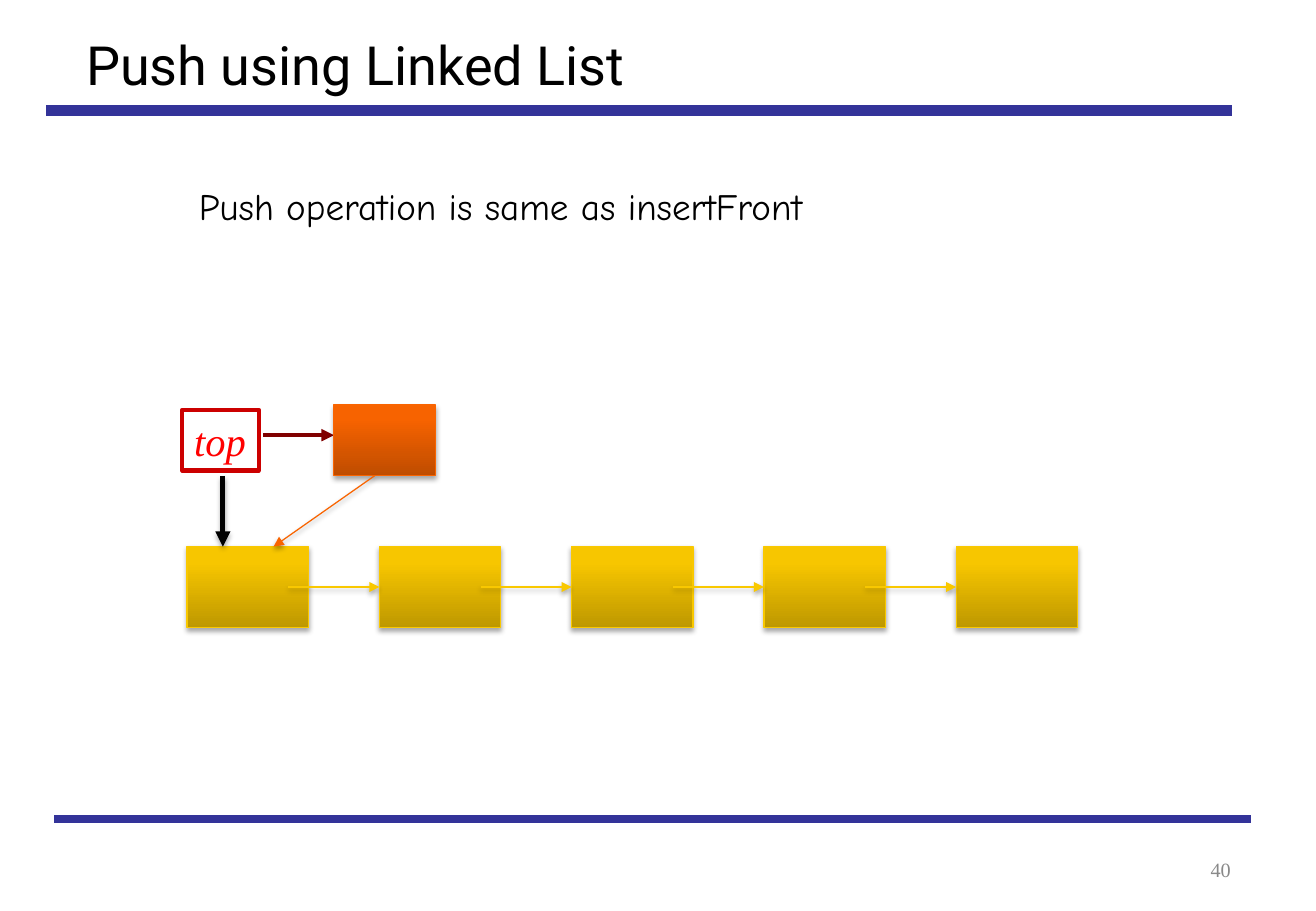
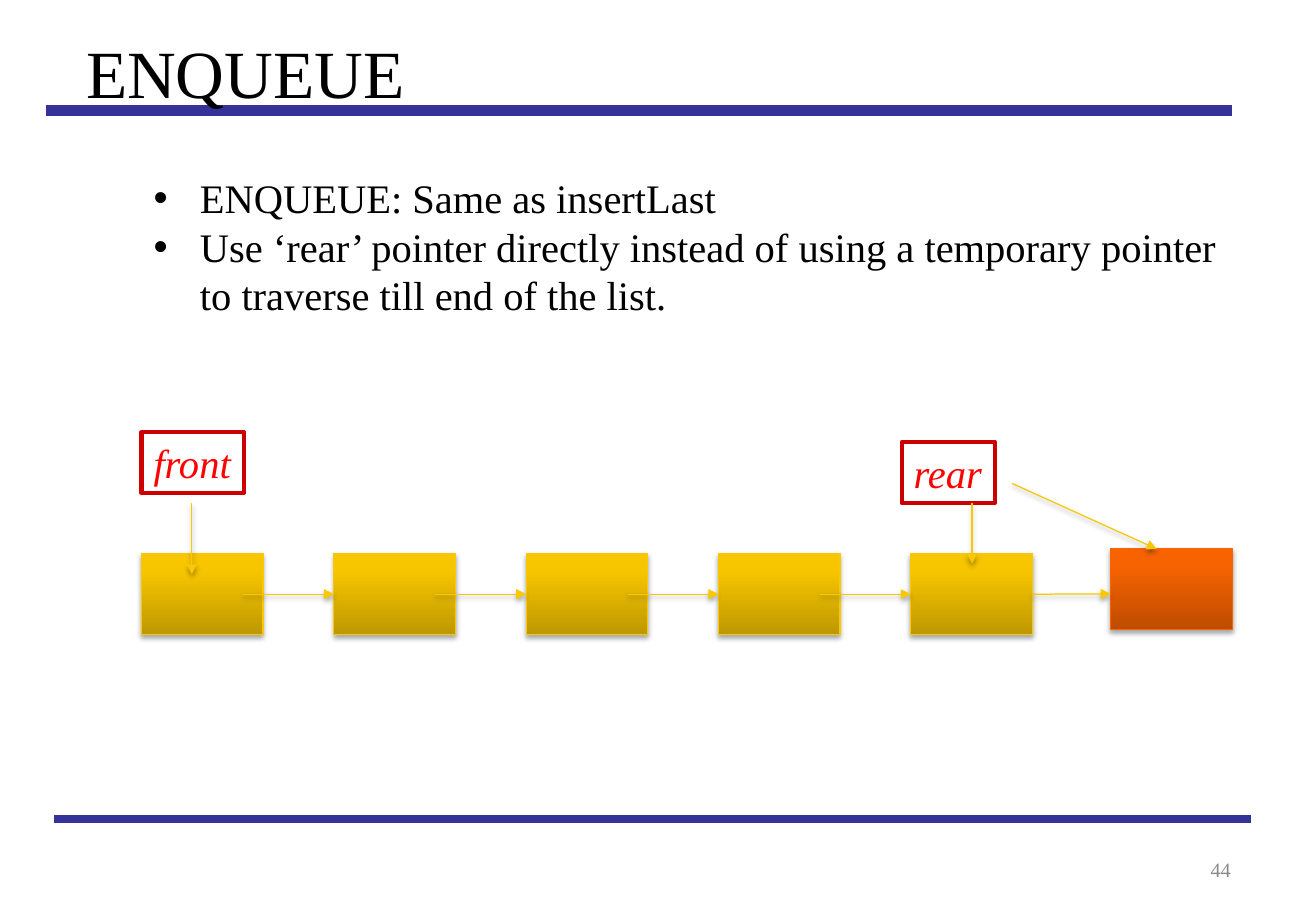
from dataclasses import dataclass

from lxml.etree import SubElement
from pptx import Presentation
from pptx.dml.color import RGBColor
from pptx.enum.shapes import MSO_CONNECTOR as CONN, MSO_SHAPE as SHAPE
from pptx.enum.text import MSO_ANCHOR as ANCHOR, MSO_AUTO_SIZE as FIT, PP_ALIGN as ALIGN
from pptx.oxml.ns import qn
from pptx.util import Cm, Pt

COLORS = {
    "rule": "333399", "number": "898989", "text": "000000",
    "label": "FF0000", "label_border": "CC0000",
    "yellow": "F9C800", "orange": "F96400", "maroon": "800000",
}
GRADIENTS = {
    "yellow": ((0, "BE9800"), (80, "F7C600"), (100, "F8C700")),
    "orange": ((0, "BE4C00"), (80, "F76300"), (100, "F86300")),
}
SERIF = "Times New Roman"
NODE_W, NODE_H, NODE_STEP, LINK_START = 2.54, 1.69, 4.02, 2.12
NODE_COUNT = 5
INDENT = 0.97


@dataclass(frozen=True)
class Box:
    x: float
    y: float
    w: float
    h: float


@dataclass(frozen=True)
class Style:
    size: float
    color: str = "text"
    font: str = SERIF
    italic: bool = False


@dataclass(frozen=True)
class Line:
    x1: float
    y1: float
    x2: float
    y2: float
    color: str = "yellow"
    width: float = 0.75
    arrow: bool = True
    shadow: bool = True


@dataclass(frozen=True)
class Label:
    text: str
    box: Box


RULES = (
    Line(0.97, 2.31, 25.76, 2.31, "rule", 6, False, False),
    Line(1.14, 17.12, 26.16, 17.12, "rule", 4.5, False, False),
)
TITLE_BOX = Box(1.55, 0.53, 24.21, 3.18)
NUMBER_BOX = Box(20.24, 17.3, 5.74, 1.27)
LABEL_STYLE = Style(24, "label", italic=True)


def rgb(name: str) -> RGBColor:
    return RGBColor.from_string(COLORS[name])


def emu(box: Box) -> tuple:
    return Cm(box.x), Cm(box.y), Cm(box.w), Cm(box.h)


def set_effects(sp, shadow: bool) -> None:
    effects = SubElement(sp._element.spPr, qn("a:effectLst"))
    if shadow:
        outer = SubElement(effects, qn("a:outerShdw"), blurRad=str(Pt(3.1)),
                           dist=str(Pt(1.8)), dir="5400000", rotWithShape="0")
        color = SubElement(outer, qn("a:srgbClr"), val=COLORS["text"])
        SubElement(color, qn("a:alpha"), val="35000")


def add_run(p, text: str, style: Style) -> None:
    r = p.add_run()
    r.text = text
    r.font.size = Pt(style.size)
    r.font.name = style.font
    r.font.italic = style.italic
    r.font.color.rgb = rgb(style.color)


def add_text(s, box: Box, lines: list, style: Style, hanging: bool = False,
             bullet: bool = False):
    tf = s.shapes.add_textbox(*emu(box)).text_frame
    tf.word_wrap = True
    for i, text in enumerate(lines):
        p = tf.paragraphs[0] if i == 0 else tf.add_paragraph()
        if hanging:
            pPr = p._p.get_or_add_pPr()
            pPr.set("marL", str(Cm(INDENT)))
            pPr.set("indent", str(-Cm(INDENT)))
            if bullet:
                SubElement(pPr, qn("a:buFont"), typeface="Arial")
                SubElement(pPr, qn("a:buChar"), char="•")
        add_run(p, text, style)
    return tf


def add_line(s, line: Line):
    c = s.shapes.add_connector(CONN.STRAIGHT, Cm(line.x1), Cm(line.y1),
                               Cm(line.x2), Cm(line.y2))
    c.line.color.rgb = rgb(line.color)
    c.line.width = Pt(line.width)
    if line.arrow:
        SubElement(c._element.spPr.find(qn("a:ln")), qn("a:tailEnd"), type="triangle")
    set_effects(c, line.shadow)
    return c


def add_node(s, box: Box, color: str = "yellow"):
    sp = s.shapes.add_shape(SHAPE.RECTANGLE, *emu(box))
    sp.fill.gradient()
    sp.fill.gradient_angle = 90
    stops = sp._element.spPr.find(qn("a:gradFill")).find(qn("a:gsLst"))
    for stop in list(stops):
        stops.remove(stop)
    for pos, value in GRADIENTS[color]:
        stop = SubElement(stops, qn("a:gs"), pos=str(pos * 1000))
        SubElement(stop, qn("a:srgbClr"), val=value)
    sp.line.color.rgb = rgb(color)
    sp.line.width = Pt(0.75)
    set_effects(sp, True)
    return sp


def add_chain(s, x: float, y: float) -> list:
    nodes = [add_node(s, Box(x + i * NODE_STEP, y, NODE_W, NODE_H))
             for i in range(NODE_COUNT)]
    mid = y + NODE_H / 2
    for i, target in enumerate(nodes[1:]):
        left = x + i * NODE_STEP
        link = add_line(s, Line(left + LINK_START, mid, left + NODE_STEP, mid))
        link.end_connect(target, 1)
    return nodes


def add_label(s, label: Label) -> None:
    sp = s.shapes.add_shape(SHAPE.RECTANGLE, *emu(label.box))
    sp.shadow.inherit = False
    sp.fill.background()
    sp.line.color.rgb = rgb("label_border")
    sp.line.width = Pt(2.5)
    tf = sp.text_frame
    tf.word_wrap = False
    tf.auto_size = FIT.SHAPE_TO_FIT_TEXT
    tf.vertical_anchor = ANCHOR.TOP
    p = tf.paragraphs[0]
    p.alignment = ALIGN.LEFT
    add_run(p, label.text, LABEL_STYLE)


def new_slide(prs, title: str, title_style: Style, number: int):
    s = prs.slides.add_slide(prs.slide_layouts[6])
    for rule in RULES:
        add_line(s, rule)
    tf = add_text(s, NUMBER_BOX, [str(number)], Style(12, "number"))
    tf.vertical_anchor = ANCHOR.BOTTOM
    tf.paragraphs[0].alignment = ALIGN.RIGHT
    add_text(s, TITLE_BOX, [title], title_style)
    return s


def push_slide(prs) -> None:
    s = new_slide(prs, "Push using Linked List", Style(32, font="Roboto"), 40)
    add_text(s, Box(3.91, 3.71, 16.08, 1.2), ["Push operation is same as insertFront"],
             Style(22, font="Comic Neue"), hanging=True)
    add_chain(s, 3.91, 11.43)
    add_label(s, Label("top", Box(3.81, 8.57, 1.6, 1.27)))
    add_line(s, Line(4.66, 9.95, 4.66, 11.43, "text", 3))
    add_line(s, Line(5.5, 9.1, 6.98, 9.1, "maroon", 2.5, shadow=False))
    add_node(s, Box(6.98, 8.47, 2.12, 1.48), "orange")
    add_line(s, Line(7.83, 9.95, 5.72, 11.43, "orange"))


def enqueue_slide(prs) -> None:
    s = new_slide(prs, "ENQUEUE", Style(40), 44)
    add_text(s, Box(2.96, 3.5, 23.01, 3.33), [
        "ENQUEUE: Same as insertLast",
        "Use ‘rear’ pointer directly instead of using a temporary pointer "
        "to traverse till end of the list.",
    ], Style(24), hanging=True, bullet=True)
    nodes = add_chain(s, 2.96, 11.58)
    for label in (Label("front", Box(2.96, 9.04, 2.14, 1.27)),
                  Label("rear", Box(18.85, 9.25, 1.95, 1.27))):
        add_label(s, label)
    add_node(s, Box(23.22, 11.47, NODE_W, NODE_H), "orange")
    for pointer in (Line(4.01, 10.52, 4.01, 12.01),
                    Line(20.32, 10.52, 20.32, 11.79),
                    Line(21.16, 10.11, 24.18, 11.48)):
        add_line(s, pointer)
    add_line(s, Line(21.58, 12.42, 23.22, 12.42)).begin_connect(nodes[-1], 3)


def main() -> None:
    prs = Presentation()
    prs.slide_width, prs.slide_height = Cm(27.51), Cm(19.05)
    push_slide(prs)
    enqueue_slide(prs)
    prs.save("out.pptx")


if __name__ == "__main__":
    main()
